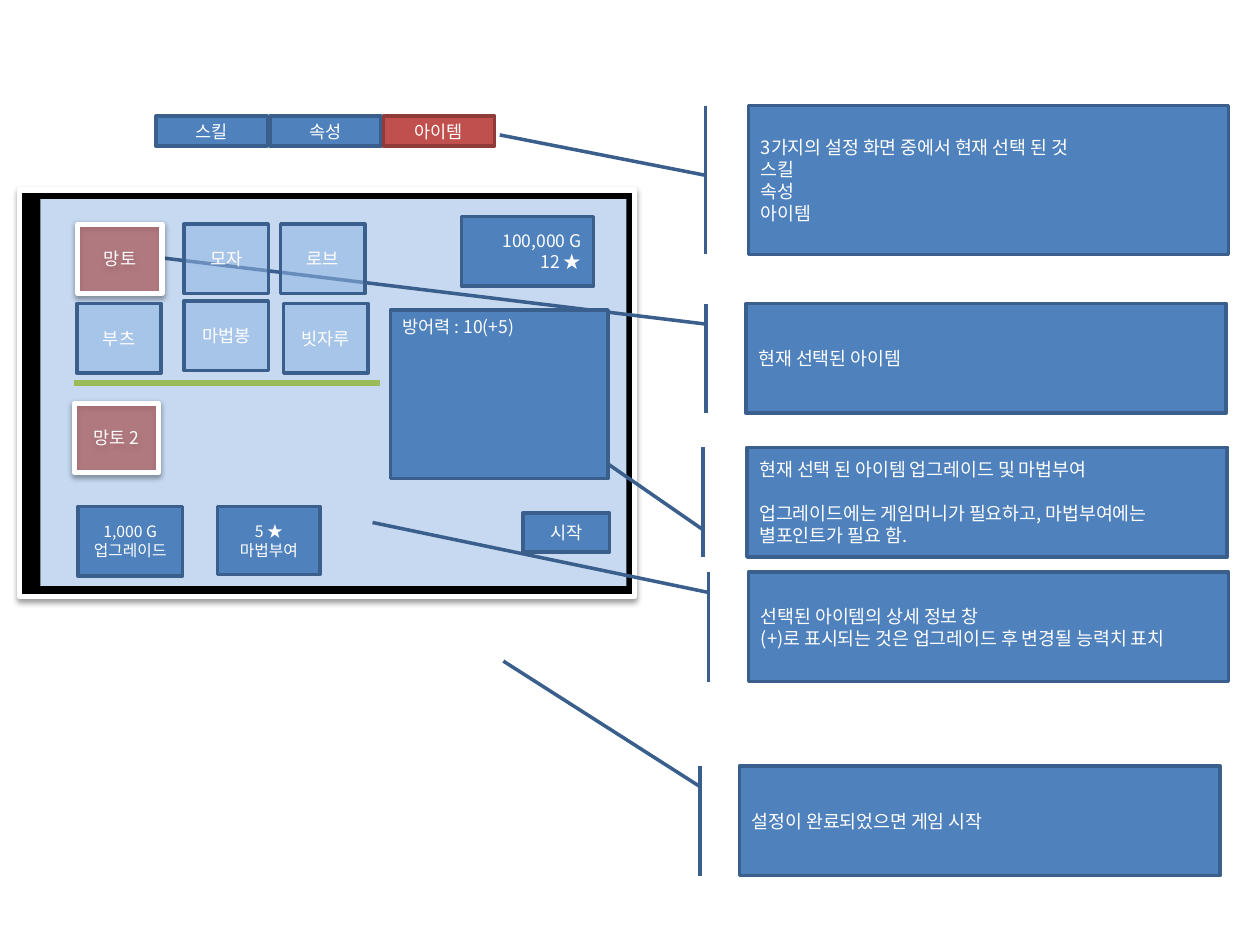
from lxml import etree
from pptx import Presentation
from pptx.dml.color import RGBColor
from pptx.enum import shapes, text
from pptx.oxml import ns
from pptx.util import Cm, Pt

WHITE = RGBColor(0xFF, 0xFF, 0xFF)
BLACK = RGBColor(0x00, 0x00, 0x00)
SKY = RGBColor(0xC6, 0xD9, 0xF1)
BLUE = RGBColor(0x4F, 0x81, 0xBD)
NAVY = RGBColor(0x3A, 0x5F, 0x8C)
PALE = RGBColor(0x8E, 0xB4, 0xE3)
RED = RGBColor(0xC0, 0x50, 0x4D)
MAROON = RGBColor(0x8E, 0x3B, 0x39)
GREEN = RGBColor(0x9B, 0xBB, 0x59)
FONT = "Noto Sans CJK KR"
LEFT, CENTER, RIGHT = text.PP_ALIGN.LEFT, text.PP_ALIGN.CENTER, text.PP_ALIGN.RIGHT
RECT = shapes.MSO_SHAPE.RECTANGLE
CALLOUT = shapes.MSO_SHAPE.LINE_CALLOUT_1_BORDER_AND_ACCENT_BAR

FRAME = (2.49, 1.73, 8.2, 12.4)
SCREEN = (2.82, 2.01, 7.8, 11.81)
CALLOUT_WIDTH = 9.68
CALLOUTS = [
    (15.09, 2.13, 3.0, (0.468, -0.09, 0.197, -0.518),
     "3가지의 설정 화면 중에서 현재 선택 된 것\n스킬\n속성\n아이템"),
    (15.04, 6.12, 2.21, (0.188, -0.083, -0.416, -1.215), "현재 선택된 아이템"),
    (15.06, 9.02, 2.21, (0.75, -0.092, -0.135, -0.384),
     "현재 선택 된 아이템 업그레이드 및 마법부여\n"
     "업그레이드에는 게임머니가 필요하고, 마법부여에는 별포인트가 필요 함."),
    (15.09, 11.53, 2.21, (0.188, -0.083, -0.451, -0.783),
     "선택된 아이템의 상세 정보 창\n(+)로 표시되는 것은 업그레이드 후 변경될 능력치 표치"),
    (14.91, 15.44, 2.21, (0.188, -0.083, -0.956, -0.492), "설정이 완료되었으면 게임 시작"),
]
UPGRADE_NOTE = 2
TABS = ["스킬", "속성", "아이템"]
SELECTED_TAB = "아이템"
TAB_LEFT, TAB_TOP, TAB_PITCH, TAB_SIZE = 3.15, 2.34, 2.29, (2.24, 0.61)
ITEM_SIZE = (1.7, 1.4)
ITEMS = [
    ("망토", 1.57, 4.52), ("모자", 3.71, 4.52), ("로브", 5.66, 4.52),
    ("부츠", 1.55, 6.12), ("마법봉", 3.71, 6.07), ("빗자루", 5.72, 6.12),
    ("망토 2", 1.5, 8.13),
]
SELECTED_ITEMS = ("망토", "망토 2")
PANELS = [
    ("방어력 : 10(+5)", (7.87, 6.25, 4.39, 3.4), 10, LEFT, text.MSO_ANCHOR.TOP),
    ("시작", (10.54, 10.34, 1.75, 0.79), 10, CENTER, text.MSO_ANCHOR.MIDDLE),
    ("1,000 G\n업그레이드", (1.57, 10.21, 2.11, 1.4), 9, CENTER, text.MSO_ANCHOR.MIDDLE),
    ("5 ★\n마법부여", (4.39, 10.21, 2.06, 1.37), 9, CENTER, text.MSO_ANCHOR.MIDDLE),
    ("100,000 G\n12 ★", (9.3, 4.37, 2.67, 1.4), 10, RIGHT, text.MSO_ANCHOR.MIDDLE),
]
DIVIDER = (1.5, 7.72, 7.67)


def add_box(parent, box, fill=BLUE, line=NAVY, width=2, kind=RECT):
    shape = parent.shapes.add_shape(kind, *map(Cm, box))
    shape.shadow.inherit = False
    shape.fill.solid()
    shape.fill.fore_color.rgb = fill
    if line is None:
        shape.line.fill.background()
    else:
        shape.line.color.rgb = line
        shape.line.width = Pt(width)
    return shape


def write(shape, words, size, align=CENTER, anchor=text.MSO_ANCHOR.MIDDLE):
    frame = shape.text_frame
    frame.text = words
    frame.word_wrap = True
    frame.vertical_anchor = anchor
    for paragraph in frame.paragraphs:
        paragraph.alignment = align
        for run in paragraph.runs:
            run.font.size = Pt(size)
            run.font.name = FONT
            run.font.color.rgb = WHITE
            etree.SubElement(run.font._element, ns.qn("a:ea"), typeface=FONT)


def add_shadow(shape):
    effects = shape._element.spPr.find(ns.qn("a:effectLst"))
    shadow = etree.SubElement(effects, ns.qn("a:outerShdw"), blurRad="40000",
                              dist="20000", dir="5400000", rotWithShape="0")
    color = etree.SubElement(shadow, ns.qn("a:srgbClr"), val=str(BLACK))
    etree.SubElement(color, ns.qn("a:alpha"), val="38000")


def set_opacity(shape, percent):
    color = shape._element.spPr.find(ns.qn("a:solidFill"))[0]
    etree.SubElement(color, ns.qn("a:alpha"), val=str(percent * 1000))


def main():
    deck = Presentation()
    deck.slide_width, deck.slide_height = Cm(25.4), Cm(19.05)
    slide = deck.slides.add_slide(deck.slide_layouts[6])

    device = slide.shapes.add_group_shape()
    bezel = add_box(device, FRAME, BLACK, WHITE, 3)
    add_shadow(bezel)
    screen = add_box(device, SCREEN, SKY, None)
    for part in (bezel, screen):
        part.rotation = 90

    for index, (left, top, height, pointer, words) in enumerate(CALLOUTS):
        note = add_box(slide, (left, top, CALLOUT_WIDTH, height), kind=CALLOUT)
        for spot, value in enumerate(pointer):
            note.adjustments[spot] = value
        write(note, words, 10.5, LEFT)
        if index == UPGRADE_NOTE:
            note.text_frame.paragraphs[1].space_before = Pt(12.6)

    for index, label in enumerate(TABS):
        colors = (RED, MAROON) if label == SELECTED_TAB else (BLUE, NAVY)
        tab = add_box(slide, (TAB_LEFT + index * TAB_PITCH, TAB_TOP, *TAB_SIZE), *colors)
        write(tab, label, 10)

    for label, left, top in ITEMS:
        selected = label in SELECTED_ITEMS
        style = (RED, WHITE, 3) if selected else (PALE, NAVY, 2)
        item = add_box(slide, (left, top, *ITEM_SIZE), *style)
        set_opacity(item, 55)
        if selected:
            add_shadow(item)
        write(item, label, 10)

    for words, box, size, align, anchor in PANELS:
        write(add_box(slide, box), words, size, align, anchor)

    start, level, end = map(Cm, DIVIDER)
    divider = slide.shapes.add_connector(shapes.MSO_CONNECTOR.STRAIGHT, start, level, end, level)
    divider.line.color.rgb = GREEN
    divider.line.width = Pt(3)
    etree.SubElement(divider._element.spPr, ns.qn("a:effectLst"))

    deck.save("out.pptx")


if __name__ == "__main__":
    main()
